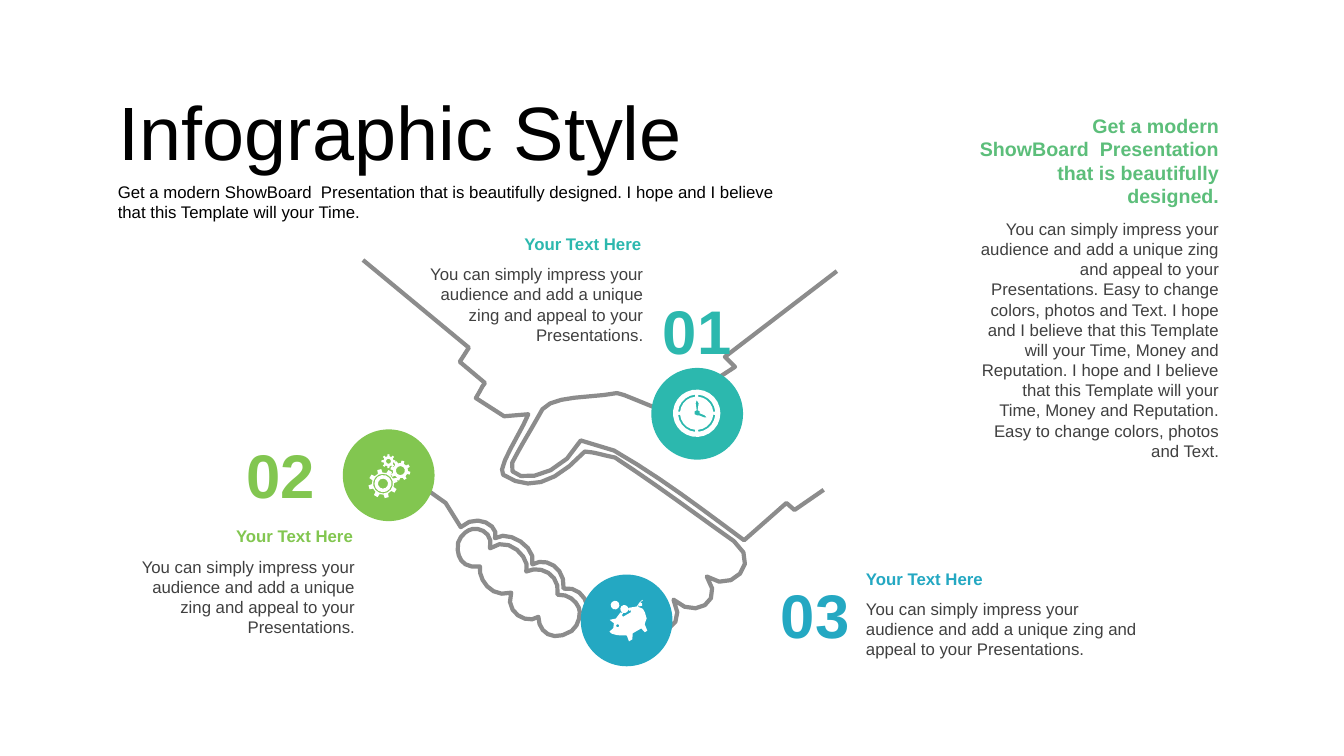
from dataclasses import dataclass
from math import ceil, cos, dist, radians, sin
from typing import Optional

from pptx import Presentation
from pptx.dml.color import RGBColor
from pptx.enum.shapes import MSO_SHAPE as Preset
from pptx.enum.text import MSO_ANCHOR as Anchor, MSO_AUTO_SIZE as AutoSize, PP_ALIGN as Align
from pptx.util import Pt

PX = 9144  # EMU per px, 100 px to the inch
DISC, NUMBER_W, NUMBER_H, HEADING_H = 91, 105, 84, 30

Point = tuple[float, float]
Contour = list[Point]


@dataclass(frozen=True)
class Theme:
    font: str = "Arial"
    black: str = "000000"
    body: str = "404040"
    hands: str = "8C8C8C"
    icon: str = "FFFFFF"
    teal: str = "2CB8AE"
    green: str = "82C650"
    blue: str = "24A8C2"
    lead: str = "5CBE7A"
    title_size: int = 54
    number_size: int = 44
    lead_size: int = 14
    text_size: int = 12
    hands_width: int = 3


THEME = Theme()


@dataclass(frozen=True)
class Box:
    left: int
    top: int
    width: int
    height: int

    def emu(self) -> list[int]:
        return [side * PX for side in (self.left, self.top, self.width, self.height)]


@dataclass(frozen=True)
class Style:
    size: int
    color: str
    bold: bool = False
    align: Align = Align.LEFT


@dataclass(frozen=True)
class Step:
    number: str
    color: str
    disc: Point
    number_at: Point
    text: Box
    align: Align


@dataclass(frozen=True)
class Icon:
    contours: list[Contour]
    rotation: int = 0


# Geometry: a token is a point, or a Bezier curve written control/control/end
def trace(path: str) -> Contour:
    contour: Contour = []
    for token in path.split():
        points = [tuple(int(n) for n in pair.split(",")) for pair in token.split("/")]
        if len(points) == 1:
            contour += points
            continue
        curve = [contour[-1], *points]
        length = sum(dist(a, b) for a, b in zip(curve, points))
        steps = min(6, max(1, ceil(length / 8)))
        for t in (i / steps for i in range(1, steps + 1)):
            weights = ((1 - t) ** 3, 3 * t * (1 - t) ** 2, 3 * t * t * (1 - t), t ** 3)
            contour.append(tuple(sum(w * p[axis] for w, p in zip(weights, curve))
                                 for axis in (0, 1)))
    return contour


def polar(x: float, y: float, radius: float, degrees: float) -> Point:
    return x + radius * cos(radians(degrees)), y + radius * sin(radians(degrees))


def arc(x: float, y: float, radius: float, start: int = 0, end: int = 360) -> Contour:
    sweep = end - start
    steps = max(4, ceil(abs(sweep) / 360 * (6 + radius * 0.8)))
    return [polar(x, y, radius, start + sweep * i / steps) for i in range(steps + 1)]


def gear(x: int, y: int, tip: float, root: float, turn: int) -> Contour:
    corners = ((root, -12), (tip, -8), (tip, 8), (root, 12))
    return [polar(x, y, radius, turn + 45 * tooth + offset)
            for tooth in range(8) for radius, offset in corners]


def ring_sector(x: int, y: int, outer: float, inner: float, start: int) -> Contour:
    return arc(x, y, outer, start + 5, start + 85) + arc(x, y, inner, start + 85, start + 5)


# Drawing
def draw_outline(slide, contours: list[Contour], closed: bool = True,
                 fill: Optional[str] = None, line: Optional[str] = None,
                 rotation: int = 0) -> None:
    scaled = [[(x * PX, y * PX) for x, y in contour] for contour in contours]
    builder = slide.shapes.build_freeform(*scaled[0][0], scale=1.0)
    for index, contour in enumerate(scaled):
        if index:
            builder.move_to(*contour[0])
        builder.add_line_segments(contour[1:], close=closed)
    paint(builder.convert_to_shape(), fill, line, rotation)


def paint(shape, fill: Optional[str], line: Optional[str] = None, rotation: int = 0) -> None:
    shape.shadow.inherit = False
    shape.rotation = rotation
    if fill:
        shape.fill.solid()
        shape.fill.fore_color.rgb = RGBColor.from_string(fill)
    else:
        shape.fill.background()
    if line:
        shape.line.color.rgb = RGBColor.from_string(line)
        shape.line.width = Pt(THEME.hands_width)
    else:
        shape.line.fill.background()


def write(frame, text: str, style: Style) -> None:
    frame.text = text
    frame.word_wrap = True
    frame.auto_size = AutoSize.NONE
    paragraph = frame.paragraphs[0]
    paragraph.alignment = style.align
    font = paragraph.runs[0].font
    font.name, font.size, font.bold = THEME.font, Pt(style.size), style.bold
    font.color.rgb = RGBColor.from_string(style.color)


def add_text(slide, box: Box, text: str, style: Style) -> None:
    write(slide.shapes.add_textbox(*box.emu()).text_frame, text, style)


def draw_step(slide, step: Step) -> None:
    disc = slide.shapes.add_shape(Preset.OVAL, *Box(*step.disc, DISC, DISC).emu())
    paint(disc, step.color)
    add_text(slide, Box(*step.number_at, NUMBER_W, NUMBER_H), step.number,
             Style(THEME.number_size, step.color, True, Align.CENTER))
    text = step.text
    add_text(slide, text, STEP_BODY, Style(THEME.text_size, THEME.body, align=step.align))
    add_text(slide, Box(text.left, text.top - HEADING_H, text.width - 2, HEADING_H),
             "Your Text Here", Style(THEME.text_size, step.color, True, step.align))


# Content
LEAD = "Get a modern ShowBoard  Presentation that is beautifully designed."
INTRO = LEAD + " I hope and I believe that this Template will your Time."
STEP_BODY = ("You can simply impress your audience and add a unique zing "
             "and appeal to your Presentations.")
EASY = "Easy to change colors, photos and Text."
HOPE = "I hope and I believe that this Template will your Time, Money and Reputation."
SIDE_BODY = " ".join((STEP_BODY, EASY, HOPE, HOPE, EASY))

STEPS = [
    Step("01", THEME.teal, (646, 365), (639, 286), Box(406, 257, 242, 91), Align.RIGHT),
    Step("02", THEME.green, (340, 426), (226, 429), Box(129, 547, 233, 91), Align.RIGHT),
    Step("03", THEME.blue, (576, 570), (756, 567), Box(849, 589, 291, 71), Align.LEFT),
]

RIGHT_HAND = """830,269 719,354 729,364 706,379 712,389 681,409 669,417/620,390/612,390
587,395/549,392/538,406 527,426/519,438/508,459 499,480/553,480/576,437 609,447
656,474/696,505/738,536 780,499 788,506 817,486"""
LEFT_HAND = """360,258 465,345 456,359 481,380 478,383/477,387/472,395 500,413 524,411
517,429/492,465/499,471 523,487/548,482/580,448 592,449/595,451/610,454
657,485/687,508/728,537 756,558/725,590/701,572 719,597/689,615/668,595
682,623/654,633/635,621 641,640/612,653/581,621 589,601/577,581/559,584
561,563/541,552/528,560 533,543/504,525/491,534 496,522/473,508/457,523
442,499 418,482 411,494 377,475"""
FINGERS = """454,546 455,555/460,564/476,562 474,574/487,594/507,588 500,608/523,620/534,612
534,627/548,638/567,626 573,621/575,614/575,607 575,601/567,589/553,590
556,570/536,560/522,567 527,554/504,530/486,544 490,526/471,522/465,526 461,528/452,535/454,546"""

CLOCK_HANDS = """691,397 690,400 691,407 689,408 689,411 691,412 693,412 698,414 701,414
699,412 694,410 694,408 692,407 693,400"""
PIG = """644,605 644,606 641,606 642,608 641,610 638,609 639,607 637,609 640,613 640,617
640,622/638,625/634,627 633,634 630,634 629,629 619,629 616,634 612,634 613,628 605,623
601,619 600,616 605,615 608,611 606,606 612,608 619,605 621,607 619,608 619,610 628,610
629,608 627,608 628,605 636,608 640,606"""

ICONS = [
    Icon([arc(691, 410, 23.5), trace(CLOCK_HANDS),
          *(ring_sector(691, 410, 18.5, 16.5, turn) for turn in range(0, 360, 90))]),
    Icon([gear(378, 478, 14.5, 11, 0), arc(378, 478, 9.8), arc(378, 478, 8.5), arc(378, 478, 5),
          gear(398, 470, 10, 7.5, 30), arc(398, 470, 4.5),
          gear(389, 458, 7, 5, 15), arc(389, 458, 2.5)], 345),
    Icon([trace(PIG), arc(610, 615, 1.5), arc(624, 604, 4), arc(618, 596, 4.3)], 330),
]


def main() -> None:
    deck = Presentation()
    deck.slide_width, deck.slide_height = 1333 * PX, 750 * PX
    slide = deck.slides.add_slide(deck.slide_layouts[5])

    # Title and introduction
    title = slide.shapes.title
    title.left, title.top, title.width, title.height = Box(108, 79, 677, 101).emu()
    write(title.text_frame, "Infographic Style", Style(THEME.title_size, THEME.black))
    title.text_frame.vertical_anchor = Anchor.MIDDLE
    add_text(slide, Box(107, 175, 674, 50), INTRO, Style(THEME.text_size, THEME.black))

    # Handshake
    for path, closed in ((RIGHT_HAND, False), (LEFT_HAND, False), (FINGERS, True)):
        draw_outline(slide, [trace(path)], closed, line=THEME.hands)

    # Numbered steps with their icons
    for step, icon in zip(STEPS, ICONS):
        draw_step(slide, step)
        draw_outline(slide, icon.contours, fill=THEME.icon, rotation=icon.rotation)

    # Side column
    add_text(slide, Box(962, 212, 257, 232), SIDE_BODY,
             Style(THEME.text_size, THEME.body, align=Align.RIGHT))
    add_text(slide, Box(962, 108, 257, 104), LEAD,
             Style(THEME.lead_size, THEME.lead, True, Align.RIGHT))

    deck.save("out.pptx")


if __name__ == "__main__":
    main()
